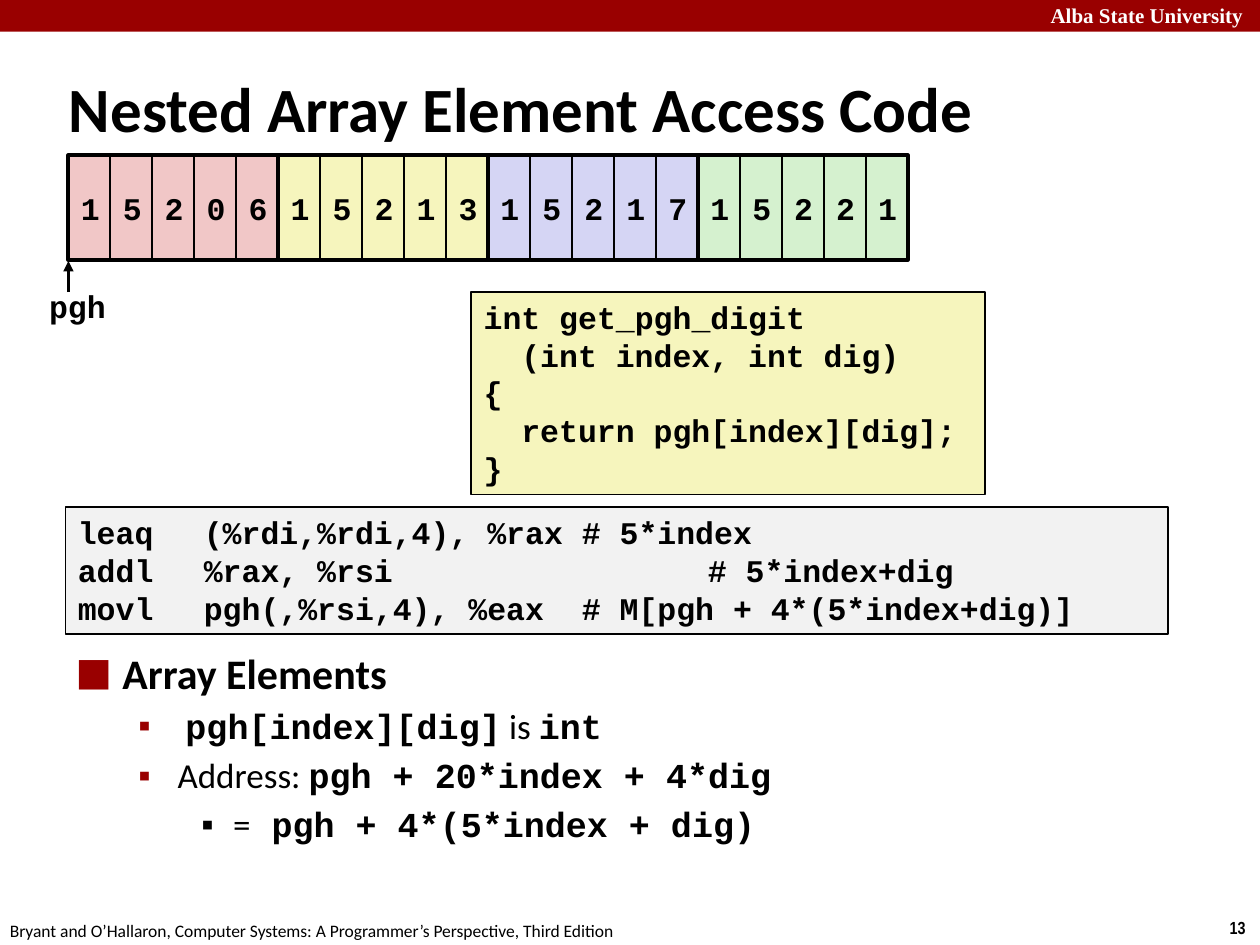
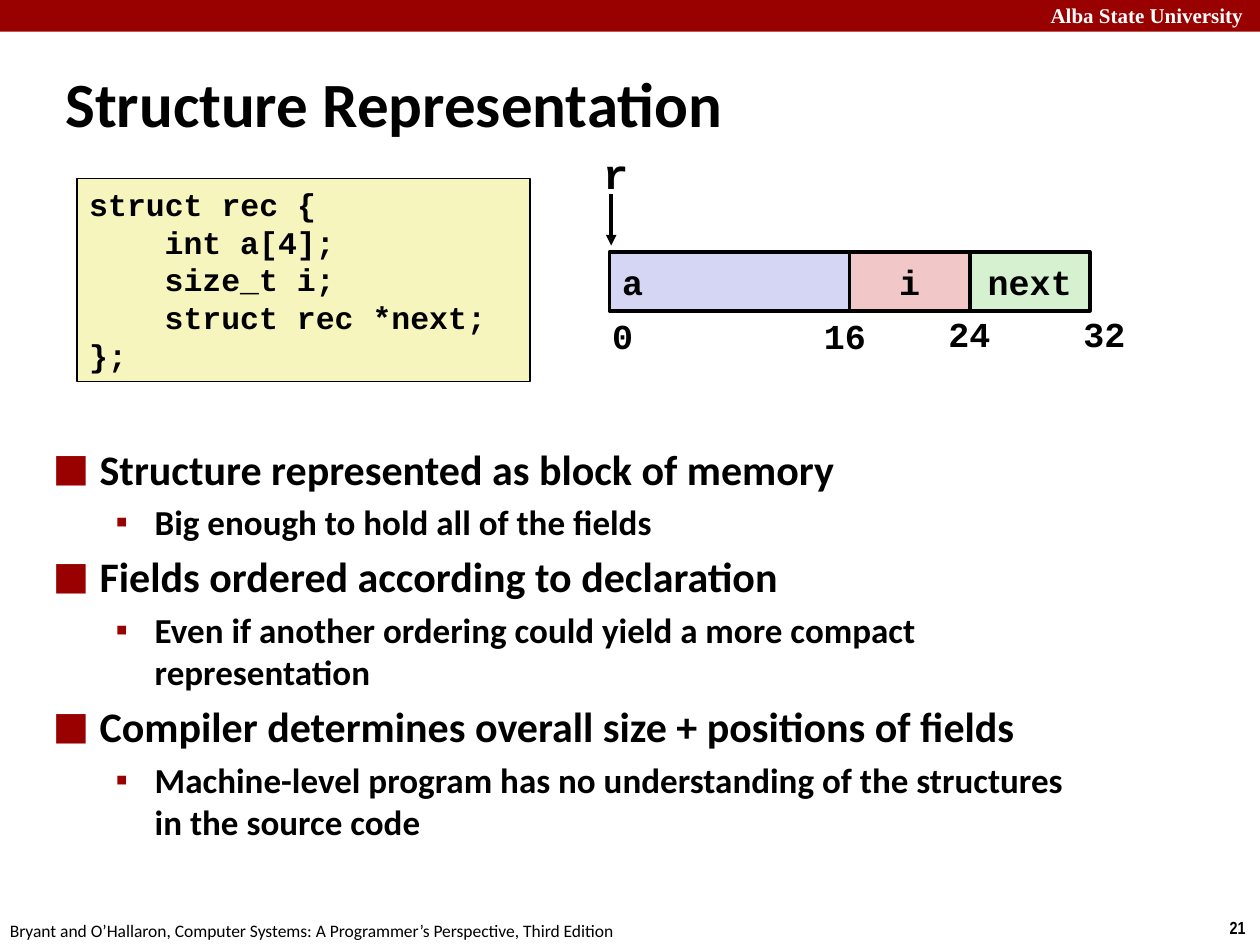
from lxml.etree import SubElement
from pptx import Presentation
from pptx.dml.color import RGBColor
from pptx.enum.shapes import MSO_CONNECTOR, MSO_SHAPE
from pptx.enum.text import MSO_ANCHOR, PP_ALIGN
from pptx.oxml.ns import qn
from pptx.util import Cm, Pt

HUES = {
    "band": "990000", "ink": "000000", "white": "FFFFFF", "gray": "F2F2F2",
    "pink": "F1C7C7", "cream": "F6F5BD", "blue": "D5D5F4", "green": "D5F1CF",
}
BODY, CODE = "Calibri", "Courier New"
INK = RGBColor.from_string(HUES["ink"])
CHAR = 0.38  # width of one code character at 18 pt, in cm

# left margin, hang, size, space before, bullet, bullet percent, bullet hue
LEVELS = [
    (0.95, 0.95, 24, 4.8, "■", 145, "band"),
    (2.06, 0.79, 20, 4, "▪", 100, "band"),
    (3.18, 0.64, 20, 4, "▪", 100, "ink"),
]


def put(slide, at, text="", size=18, font=CODE, bold=True, hue="ink", fill=None,
        line=0, wrap=False, mid=False, align=PP_ALIGN.LEFT):
    """Add a text box, or a rectangle when it has a fill or a line."""
    at = [Cm(v) for v in at]
    if fill or line:
        shape = slide.shapes.add_shape(MSO_SHAPE.RECTANGLE, *at)
        shape.shadow.inherit = False
        if fill:
            shape.fill.solid()
            shape.fill.fore_color.rgb = RGBColor.from_string(HUES[fill])
        else:
            shape.fill.background()
        if line:
            shape.line.color.rgb = INK
            shape.line.width = Pt(line)
        else:
            shape.line.fill.background()
    else:
        shape = slide.shapes.add_textbox(*at)
    frame = shape.text_frame
    frame.word_wrap = wrap
    frame.vertical_anchor = MSO_ANCHOR.MIDDLE if mid else MSO_ANCHOR.TOP
    for i, row in enumerate(text.split("\n") if text else []):
        para = frame.paragraphs[0] if i == 0 else frame.add_paragraph()
        para.text = row.lstrip(" ")
        para.alignment = align
        dent = len(row) - len(para.text)
        if dent:
            para._p.get_or_add_pPr().set("marL", str(Cm(dent * CHAR)))
        para.font.size, para.font.name, para.font.bold = Pt(size), font, bold
        para.font.color.rgb = RGBColor.from_string(HUES[hue])
    return shape


deck = Presentation()
deck.slide_width, deck.slide_height = Cm(25.4), Cm(19.05)

# Each bullet: level, then runs of (text, font, bold)
pages = [
    ("13", "Nested Array Element Access Code", (1.14, 1.37, 23.01, 1.6),
     (1.27, 12.93, 23.11, 4.85), [
        (0, [("Array Elements", BODY, True)]),
        (1, [(" ", BODY, True), ("pgh[index][dig]", CODE, True),
             (" is ", BODY, False), ("int", CODE, True)]),
        (1, [("Address: ", BODY, False), ("pgh + 20*index + 4*dig", CODE, True)]),
        (2, [("=", BODY, False), (" pgh + 4*(5*index + dig)", CODE, True)]),
    ]),
    ("21", "Structure Representation", (1.07, 1.27, 23.06, 1.6),
     (0.81, 8.81, 21.49, 7.95), [
        (level, [(text, BODY, True)]) for level, text in [
            (0, "Structure represented as block of memory"),
            (1, "Big enough to hold all of the fields"),
            (0, "Fields ordered according to declaration"),
            (1, "Even if another ordering could yield a more compact representation"),
            (0, "Compiler determines overall size + positions of fields"),
            (1, "Machine-level program has no understanding of the structures "
                "in the source code"),
        ]
    ]),
]

# Band, footer, title and bullets of every slide
slides = []
for num, title, head, area, points in pages:
    slide = deck.slides.add_slide(deck.slide_layouts[6])
    slides.append(slide)
    put(slide, (0, 0, 25.4, 0.64), fill="band")
    put(slide, (20.93, -0.08, 4.65, 0.76), "Alba State University", 12,
        "Times New Roman", hue="white")
    put(slide, (24.54, 18.36, 0.86, 0.69), num, 10, "Arial Narrow")
    put(slide, (-0.05, 18.42, 12.9, 0.69), "Bryant and O’Hallaron, Computer Systems: "
        "A Programmer’s Perspective, Third Edition", 10, BODY, bold=False)
    put(slide, head, title, 36, BODY, wrap=True, mid=True)
    frame = put(slide, area, wrap=True).text_frame
    for i, (level, runs) in enumerate(points):
        left, hang, size, gap, mark, scale, hue = LEVELS[level]
        para = frame.add_paragraph() if i else frame.paragraphs[0]
        para.level = level
        para.space_before = Pt(gap if i else 0)
        para.font.size = Pt(size)
        para.font.color.rgb = INK
        props = para._p.get_or_add_pPr()
        props.set("marL", str(Cm(left)))
        props.set("indent", str(Cm(-hang)))
        tint = SubElement(props, qn("a:buClr"))
        SubElement(tint, qn("a:srgbClr"), val=HUES[hue])
        SubElement(props, qn("a:buSzPct"), val=str(scale * 1000))
        SubElement(props, qn("a:buFont"), typeface="Arial")
        SubElement(props, qn("a:buChar"), char=mark)
        # Bullet marks come before the default run format
        props.append(props.find(qn("a:defRPr")))
        for text, font, bold in runs:
            run = para.add_run()
            run.text = text
            run.font.name, run.font.bold = font, bold

nest, struct = slides

# Nested array: four rows of five digits
put(nest, (9.5, 5.88, 10.36, 4.09), """int get_pgh_digit
  (int index, int dig)
{
  return pgh[index][dig];
}""", fill="cream", line=1, wrap=True)
steps = put(nest, (1.32, 10.22, 22.23, 2.57), """leaq\t(%rdi,%rdi,4), %rax\t# 5*index
addl\t%rax, %rsi\t# 5*index+dig
movl\tpgh(,%rsi,4), %eax\t# M[pgh + 4*(5*index+dig)]""",
            fill="gray", line=1, wrap=True)
for para, note in zip(steps.text_frame.paragraphs, (10.16, 12.7, 10.16)):
    props = para._p.get_or_add_pPr()
    tabs = SubElement(props, qn("a:tabLst"))
    for stop in (2.54, note):
        SubElement(tabs, qn("a:tab"), pos=str(Cm(stop)), algn="l")
    props.append(props.find(qn("a:defRPr")))
put(nest, (0.74, 5.67, 1.68, 1.02), "pgh")
left, top, tall, span = 1.38, 3.13, 2.11, 4.23
zips = [("15206", "pink"), ("15213", "cream"), ("15217", "blue"), ("15221", "green")]
for row, (code, hue) in enumerate(zips):
    start, wide = left + row * span, span / len(code)
    for i, digit in enumerate(code):
        put(nest, (start + i * wide, top, wide, tall), digit, fill=hue, line=1,
            wrap=True, mid=True)
for row in range(len(zips)):
    put(nest, (left + row * span, top, span, tall), line=2.25)

# Structure: fields drawn in scale with their bytes
put(struct, (1.55, 3.6, 9.14, 4.09), """struct rec {
    int a[4];
    size_t i;
    struct rec *next;
};""", fill="cream", line=1, wrap=True)
put(struct, (11.91, 2.84, 1.02, 1.27), "r", 24)
left, byte = 12.29, 9.68 / 32
for name, start, count, hue, align in [
    ("a", 0, 16, "blue", PP_ALIGN.LEFT),
    ("i", 16, 8, "pink", PP_ALIGN.CENTER),
    ("next", 24, 8, "green", PP_ALIGN.CENTER),
]:
    put(struct, (left + start * byte, 5.08, count * byte, 1.19), name, 20,
        fill=hue, line=2, wrap=True, mid=True, align=align)
for text, x, y, wide in [("0", 12.09, 6.22, 0.91), ("16", 16.36, 6.22, 1.37),
                         ("24", 18.87, 6.17, 1.37), ("32", 21.59, 6.17, 1.37)]:
    put(struct, (x, y, wide, 1.09), text, 20)

# Pointer arrows
for slide, x, start, end in [(nest, 1.38, 5.89, 5.26), (struct, 12.32, 3.91, 4.95)]:
    arrow = slide.shapes.add_connector(
        MSO_CONNECTOR.STRAIGHT, Cm(x), Cm(start), Cm(x), Cm(end))
    arrow.line.color.rgb = INK
    arrow.line.width = Pt(2)
    SubElement(arrow.line._get_or_add_ln(), qn("a:tailEnd"), type="triangle")
    SubElement(arrow._element.spPr, qn("a:effectLst"))

deck.save("out.pptx")
